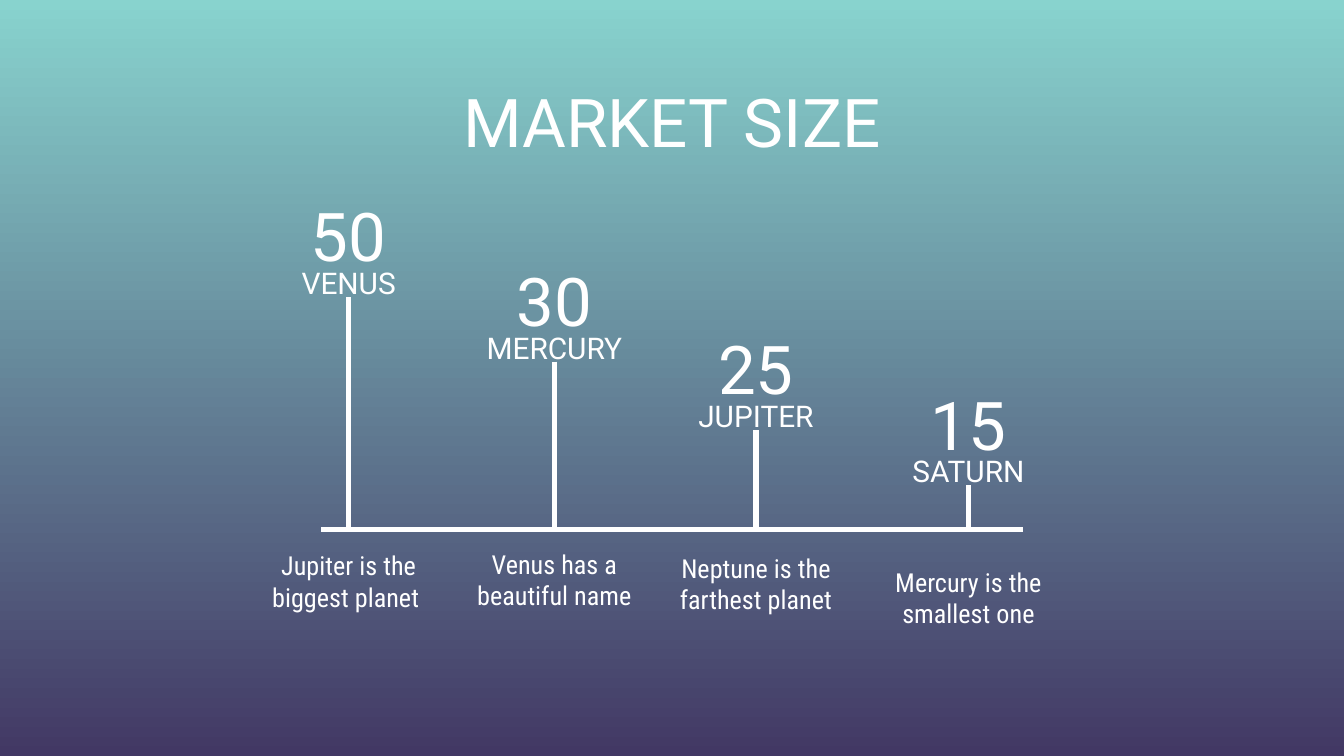
from lxml.etree import SubElement
from pptx import Presentation
from pptx.dml.color import RGBColor
from pptx.enum.shapes import MSO_CONNECTOR as Link
from pptx.enum.text import MSO_ANCHOR as Anchor, PP_ALIGN as Align
from pptx.oxml.ns import qn
from pptx.util import Pt

WHITE = "FFFFFF"
WIDE = 97.2
AXIS = 283.7
BARS = [
    (138.2, 134.6, "50", "VENUS", "Jupiter is the biggest planet ", 287.3, Anchor.TOP),
    (248.4, 169.2, "30", "MERCURY", "Venus has a beautiful name", 286.6, Anchor.TOP),
    (356.4, 205.9, "25", "JUPITER", "Neptune is the farthest planet", 288.7, Anchor.TOP),
    (470.2, 235.4, "15", "SATURN", "Mercury is the smallest one", 288, Anchor.MIDDLE),
]


def color(code):
    """Turn a hex string into a colour."""
    return RGBColor.from_string(code)


def write(slide, text, box, size=36, font="Roboto", anchor=Anchor.TOP, after=16):
    """Place centred white text in a box."""
    frame = slide.shapes.add_textbox(*map(Pt, box)).text_frame
    frame.word_wrap = True
    frame.vertical_anchor = anchor
    frame.margin_left = frame.margin_right = Pt(7.2)
    frame.margin_top = frame.margin_bottom = Pt(7.2)
    para = frame.paragraphs[0]
    para.alignment = Align.CENTER
    para.space_after = Pt(after)
    run = para.add_run()
    run.text = text
    run.font.size = Pt(size)
    run.font.name = font
    run.font.color.rgb = color(WHITE)


def rule(slide, *ends):
    """Draw a thick white line between two points."""
    line = slide.shapes.add_connector(Link.STRAIGHT, *map(Pt, ends))
    line.line.color.rgb = color(WHITE)
    line.line.width = Pt(3)
    SubElement(line._element.spPr, qn("a:effectLst"))


def paint(slide):
    """Fill the background with a vertical gradient."""
    fill = slide.background.fill
    fill.gradient()
    fill.gradient_angle = 270
    for stop, code in zip(fill.gradient_stops, ("88D3CE", "423864")):
        stop.color.rgb = color(code)


def column(slide, left, top, value, name, note, base, anchor):
    """Draw a stem with its value and name above and its note below."""
    write(slide, name, (left, top, WIDE, 18), size=16)
    write(slide, value, (left, top - 21.3, WIDE, 25.2), anchor=Anchor.MIDDLE)
    mid = left + WIDE / 2
    rule(slide, mid, top + 24.6, mid, AXIS)
    write(slide, note, (left, base, WIDE, 64), size=14,
          font="Roboto Condensed", anchor=anchor)


def main():
    """Build and save the market size slide."""
    deck = Presentation()
    deck.slide_width, deck.slide_height = Pt(720), Pt(405)
    slide = deck.slides.add_slide(deck.slide_layouts[6])
    paint(slide)
    write(slide, "MARKET SIZE", (42.5, 36, 635, 52.6), after=0)
    rule(slide, 172, AXIS, 548, AXIS)
    for bar in BARS:
        column(slide, *bar)
    deck.save("out.pptx")


if __name__ == "__main__":
    main()
